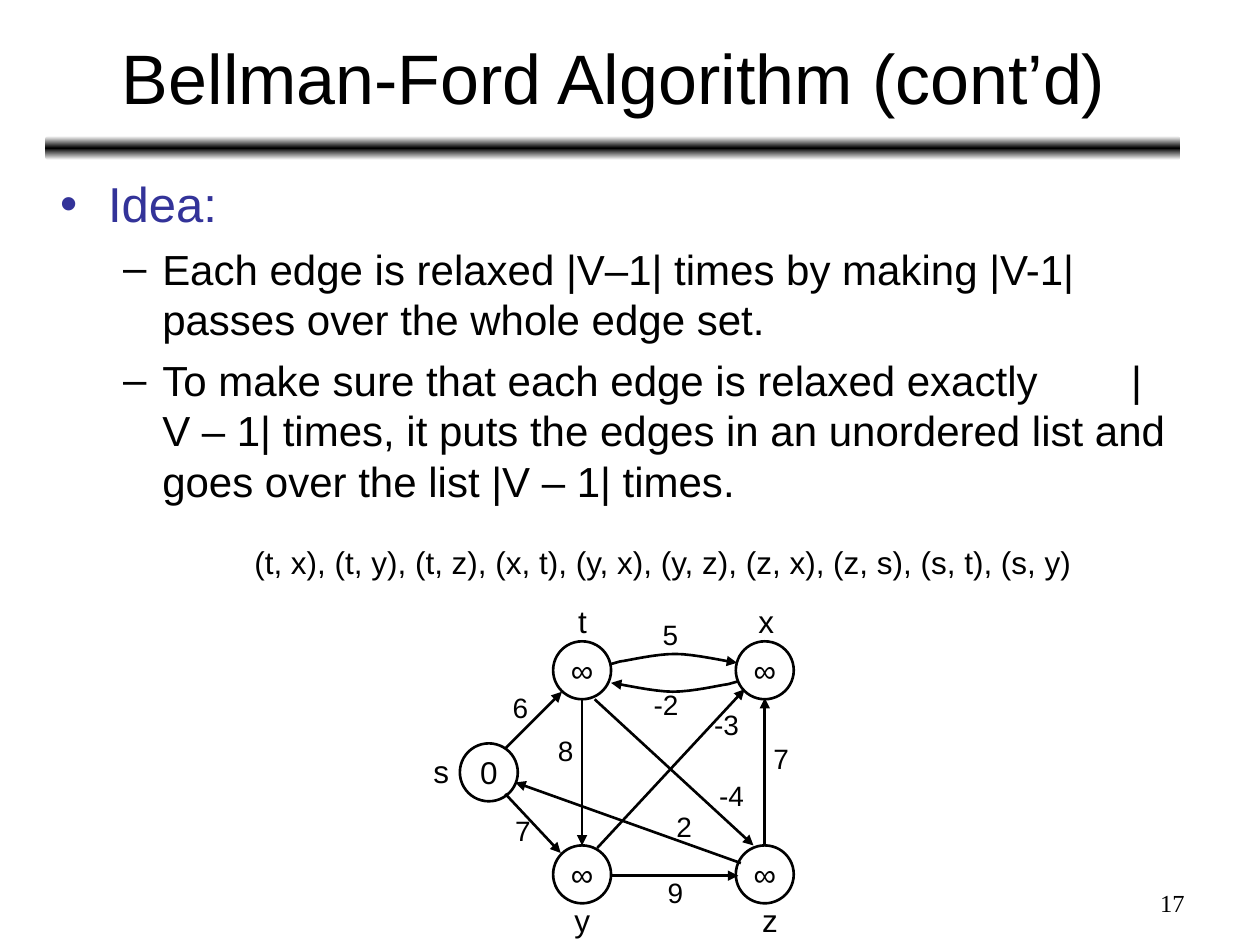
from dataclasses import dataclass
from copy import deepcopy

from lxml import etree
from pptx import Presentation
from pptx.dml.color import RGBColor
from pptx.enum.shapes import MSO_CONNECTOR, MSO_SHAPE
from pptx.enum.text import MSO_ANCHOR, MSO_AUTO_SIZE, PP_ALIGN
from pptx.oxml.ns import qn
from pptx.util import Inches, Pt

STRAIGHT = MSO_CONNECTOR.STRAIGHT
OVAL = MSO_SHAPE.OVAL
ROUNDED = MSO_SHAPE.ROUNDED_RECTANGLE
TOP, MIDDLE = MSO_ANCHOR.TOP, MSO_ANCHOR.MIDDLE
LEFT, CENTER, RIGHT = PP_ALIGN.LEFT, PP_ALIGN.CENTER, PP_ALIGN.RIGHT
GROW = MSO_AUTO_SIZE.SHAPE_TO_FIT_TEXT


@dataclass(frozen=True)
class Theme:
    ink: RGBColor = RGBColor(0, 0, 0)
    paper: RGBColor = RGBColor(255, 255, 255)
    accent: RGBColor = RGBColor(0x33, 0x33, 0x99)
    font: str = "Arial"
    number_font: str = "Times New Roman"
    title: int = 40
    idea: int = 28
    detail: int = 24
    vertex: int = 18
    weight: int = 16
    number: int = 14
    stroke: float = 1.5


THEME = Theme()
NODE_SIZE = 0.46
WIDE_SPACE = 46.7

NODES = [
    ("0", 3.65, 5.9),
    ("∞", 4.39, 5.09),
    ("∞", 5.84, 5.09),
    ("∞", 4.39, 6.71),
    ("∞", 5.84, 6.71),
]
VERTEX_NAMES = [
    ("s", 3.34, 5.92, 0.32),
    ("t", 4.49, 4.73, 0.27),
    ("x", 5.92, 4.73, 0.32),
    ("y", 4.46, 7.1, 0.32),
    ("z", 5.95, 7.1, 0.32),
]
EDGES = [
    ((4.01, 5.94), (4.46, 5.49)),
    ((4.01, 6.3), (4.45, 6.77)),
    ((4.86, 6.95), (5.86, 6.95)),
    ((4.74, 6.73), (5.91, 5.47)),
    ((5.88, 6.85), (4.09, 6.21)),
    ((4.62, 5.54), (4.62, 6.71)),
    ((6.07, 6.71), (6.07, 5.54)),
    ((4.72, 5.55), (5.98, 6.71)),
]
WEIGHTS = [
    ("6", 3.97, 5.43), ("5", 5.16, 4.85), ("7", 3.99, 6.41), ("7", 6.04, 5.84),
    ("9", 5.2, 6.9), ("8", 4.33, 5.77), ("-3", 5.57, 5.57), ("2", 5.27, 6.38),
    ("-4", 5.61, 6.13), ("-2", 5.09, 5.41),
]
ARC_CENTER = (5.35, 5.34)
ARC_START = (4.85, 5.27)
ARC_CURVES = [
    ((4.92, 5.25), (5, 5.24), (5.2, 5.19), (5.36, 5.19)),
    ((5.36, 5.19), (5.51, 5.19), (5.77, 5.25), (5.85, 5.26)),
]


def add_run(paragraph, text, size, color=THEME.ink, font=THEME.font):
    run = paragraph.add_run()
    run.text = text
    run.font.size = Pt(size)
    run.font.name = font
    run.font.color.rgb = color
    return run


def add_frame(slide, left, top, width, height, anchor=TOP):
    box = slide.shapes.add_textbox(Inches(left), Inches(top), Inches(width), Inches(height))
    box.text_frame.word_wrap = True
    box.text_frame.vertical_anchor = anchor
    return box.text_frame


def add_line_of_text(slide, text, place, size, align=LEFT, anchor=TOP, font=THEME.font):
    frame = add_frame(slide, *place, anchor)
    frame.paragraphs[0].alignment = align
    add_run(frame.paragraphs[0], text, size, font=font)
    return frame


def add_label(slide, text, place, size):
    frame = add_line_of_text(slide, text, place, size)
    frame.word_wrap = False
    frame.auto_size = GROW


def add_divider(slide):
    divider = slide.shapes.add_shape(ROUNDED, Inches(0.36), Inches(1.08), Inches(9.01), Inches(0.19))
    divider.shadow.inherit = False
    divider.line.fill.background()
    divider.fill.gradient()
    divider.fill.gradient_angle = 90
    stop_list = divider.fill._fill._gradFill.gsLst
    stop_list.append(deepcopy(stop_list[0]))
    shades = [(0, THEME.paper), (0.5, THEME.ink), (1, THEME.paper)]
    for stop, (position, color) in zip(divider.fill.gradient_stops, shades):
        stop.position = position
        stop.color.rgb = color


def set_bullet(paragraph, mark, level, margin, hanging, before, color):
    paragraph.level = level
    paragraph.space_before = Pt(before)
    properties = paragraph._p.get_or_add_pPr()
    properties.set("marL", str(Inches(margin)))
    properties.set("indent", str(-Inches(hanging)))
    bullet_color = etree.SubElement(properties, qn("a:buClr"))
    etree.SubElement(bullet_color, qn("a:srgbClr"), val=str(color))
    etree.SubElement(properties, qn("a:buFont"), typeface=THEME.font)
    etree.SubElement(properties, qn("a:buChar"), char=mark)


def add_idea(slide):
    frame = add_frame(slide, 0.38, 1.33, 9, 5.55)
    idea = frame.paragraphs[0]
    set_bullet(idea, "•", 0, 0.38, 0.38, 7, THEME.accent)
    add_run(idea, "Idea:", THEME.idea, THEME.accent)
    passes, order = frame.add_paragraph(), frame.add_paragraph()
    for detail in (passes, order):
        set_bullet(detail, "–", 1, 0.81, 0.31, 6, THEME.ink)
    add_run(passes, "Each edge is relaxed |V–1| times by making |V-1| passes over the whole edge set.",
            THEME.detail)
    add_run(order, "To make sure that each edge is relaxed exactly", THEME.detail)
    gap = add_run(order, " ", THEME.detail)
    gap._r.get_or_add_rPr().set("spc", str(round(WIDE_SPACE * 100)))
    add_run(order, "|V – 1| times, it puts the edges in an unordered list and "
            "goes over the list |V – 1| times.", THEME.detail)


def add_node(slide, distance, left, top):
    node = slide.shapes.add_shape(OVAL, Inches(left), Inches(top), Inches(NODE_SIZE), Inches(NODE_SIZE))
    node.shadow.inherit = False
    node.fill.background()
    node.line.color.rgb = THEME.ink
    node.line.width = Pt(THEME.stroke)
    node.text_frame.word_wrap = False
    node.text_frame.vertical_anchor = MIDDLE
    node.text_frame.paragraphs[0].alignment = CENTER
    add_run(node.text_frame.paragraphs[0], distance, THEME.vertex)


def style_arrow(arrow):
    arrow.line.color.rgb = THEME.ink
    arrow.line.width = Pt(THEME.stroke)
    etree.SubElement(arrow.line._get_or_add_ln(), qn("a:tailEnd"), type="triangle")


def add_edge(slide, start, end):
    edge = slide.shapes.add_connector(STRAIGHT, *map(Inches, start + end))
    style_arrow(edge)
    etree.SubElement(edge._element.spPr, qn("a:effectLst"))


def bezier_points(curve, steps=8):
    for step in range(steps + 1):
        t = step / steps
        factors = ((1 - t) ** 3, 3 * t * (1 - t) ** 2, 3 * t * t * (1 - t), t ** 3)
        yield tuple(sum(f * point[axis] for f, point in zip(factors, curve)) for axis in (0, 1))


def add_arc(slide, turned):
    points = [ARC_START] + [point for curve in ARC_CURVES for point in bezier_points(curve)]
    if turned:
        points = [(2 * ARC_CENTER[0] - x, 2 * ARC_CENTER[1] - y) for x, y in points]
    start, *rest = [(Inches(x), Inches(y)) for x, y in points]
    builder = slide.shapes.build_freeform(*start)
    builder.add_line_segments(rest, close=False)
    arc = builder.convert_to_shape()
    arc.shadow.inherit = False
    arc.fill.background()
    style_arrow(arc)


def add_graph(slide):
    for node in NODES:
        add_node(slide, *node)
    for edge in EDGES:
        add_edge(slide, *edge)
    for turned in (False, True):
        add_arc(slide, turned)
    for name, left, top, width in VERTEX_NAMES:
        add_label(slide, name, (left, top, width, 0.4), THEME.vertex)
    for weight, left, top in WEIGHTS:
        width = 0.32 if len(weight) == 1 else 0.44
        add_label(slide, weight, (left, top, width, 0.37), THEME.weight)


def main():
    deck = Presentation()
    deck.slide_width, deck.slide_height = Inches(10), Inches(7.5)
    slide = deck.slides.add_slide(deck.slide_layouts[6])
    add_divider(slide)
    add_line_of_text(slide, "Bellman-Ford Algorithm (cont’d)", (0.37, 0.11, 9, 0.99),
                     THEME.title, CENTER, MIDDLE)
    add_idea(slide)
    add_graph(slide)
    add_label(slide, "(t, x), (t, y), (t, z), (x, t), (y, x), (y, z), (z, x), (z, s), (s, t), (s, y)",
              (1.92, 4.26, 6.72, 0.4), THEME.vertex)
    add_line_of_text(slide, "17", (7.17, 7, 2.33, 0.35), THEME.number, RIGHT, font=THEME.number_font)
    deck.save("out.pptx")


if __name__ == "__main__":
    main()
